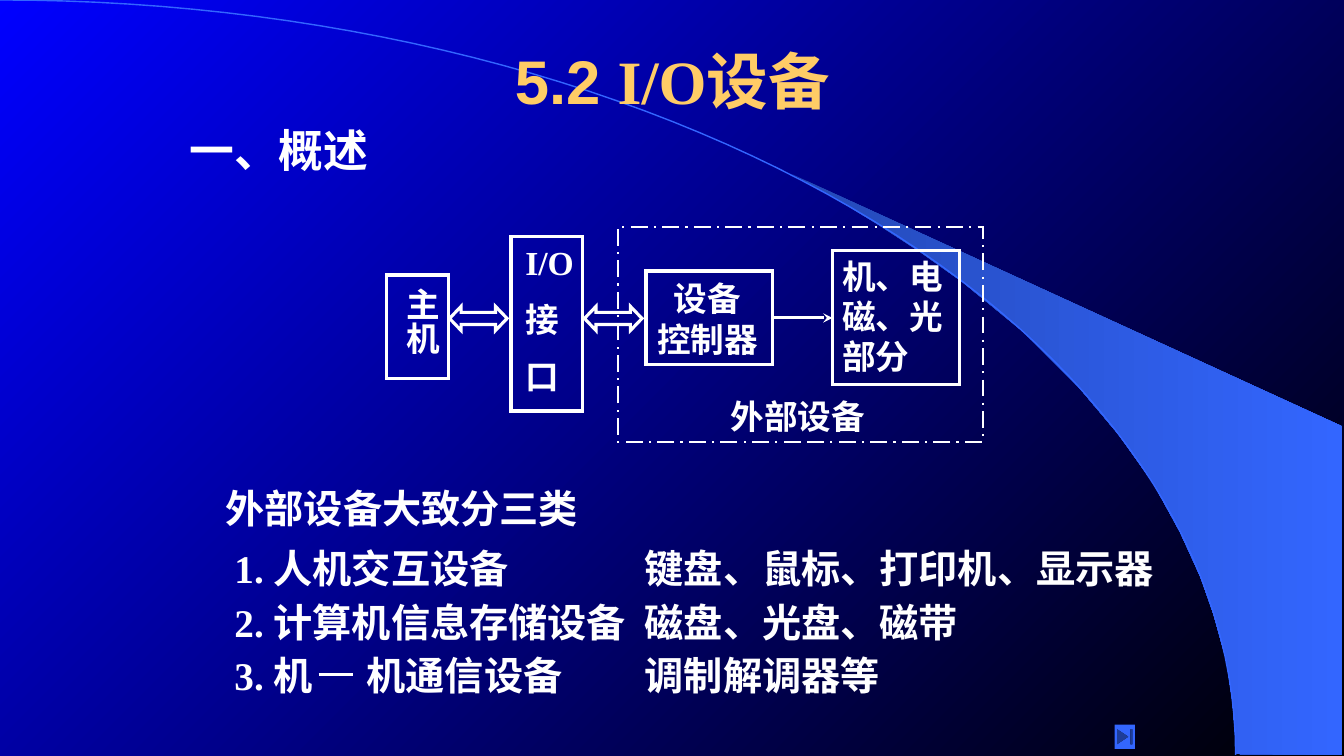
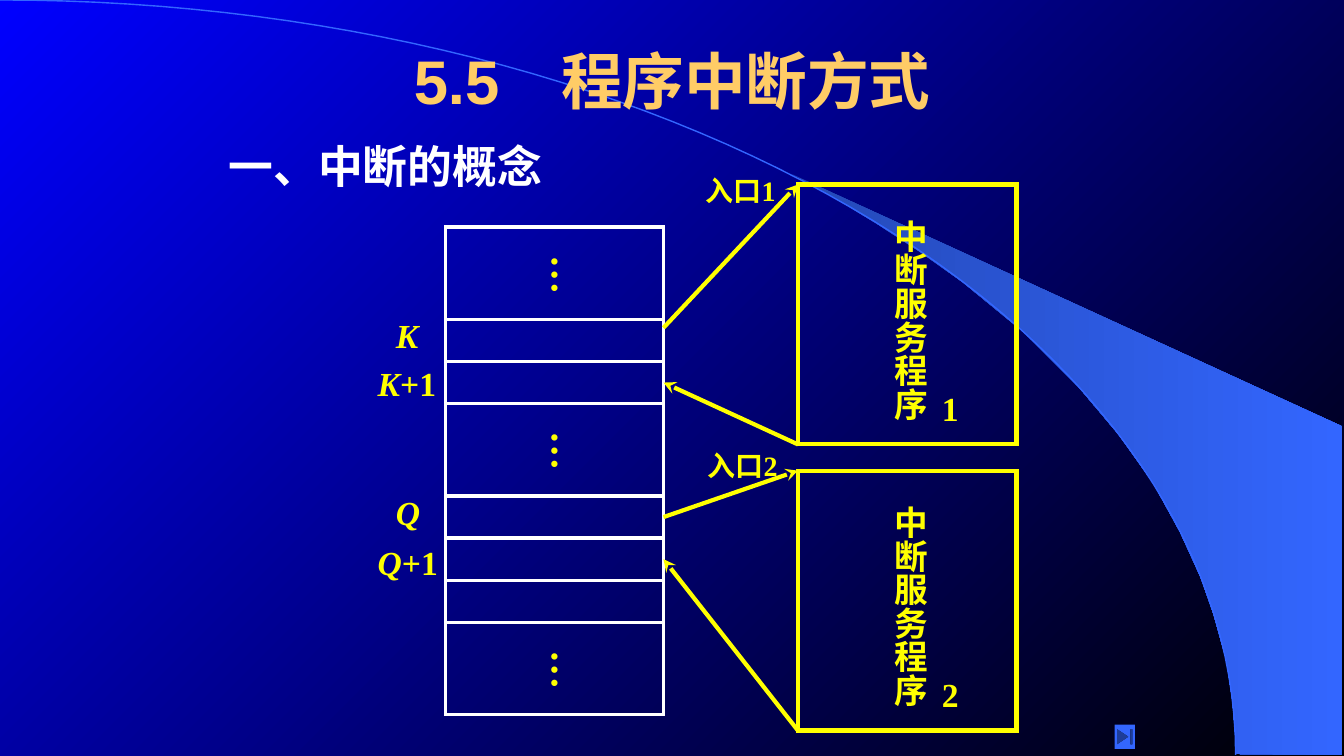
import math
from dataclasses import dataclass

import pptx
import pptx.dml.color
import pptx.enum.dml
import pptx.enum.lang
import pptx.enum.shapes
import pptx.enum.text
import pptx.oxml.ns
import pptx.util
from lxml import etree

Cm = pptx.util.Cm
Pt = pptx.util.Pt
Kind = pptx.enum.shapes.MSO_SHAPE
Align = pptx.enum.text.PP_ALIGN
qn = pptx.oxml.ns.qn


@dataclass(frozen=True)
class Theme:
    white: str = "FFFFFF"
    yellow: str = "FFFF00"
    gold: str = "FFCC66"
    blue: str = "3366FF"
    deep: str = "2449B6"
    sky: str = "0000FF"
    night: str = "000000"
    head: str = "Arial"
    body: str = "Times New Roman"
    title: float = 44
    topic: float = 32
    text: float = 28
    label: float = 24
    small: float = 20
    thin: float = 1
    dash: float = 1.5
    line: float = 2.25
    bold: float = 3


T = Theme()


def rgb(code):
    return pptx.dml.color.RGBColor.from_string(code)


def cms(*nums):
    return [Cm(num) for num in nums]


def fade(fill, first, last, angle):
    fill.gradient()
    fill.gradient_angle = angle
    for stop, code in zip(fill.gradient_stops, (first, last)):
        stop.color.rgb = rgb(code)


def style(run, size, color, face=T.body, slant=False):
    font = run.font
    font.size = Pt(size)
    font.name = face
    font.bold = True
    font.italic = slant
    font.color.rgb = rgb(color)
    font.language_id = pptx.enum.lang.MSO_LANGUAGE_ID.SIMPLIFIED_CHINESE


def write(frame, text, size, color, face=T.body, slant=False, align=Align.LEFT, gap=0):
    frame.text = text
    for order, para in enumerate(frame.paragraphs):
        para.alignment = align
        if order and gap:
            para.space_before = Pt(gap)
        for run in para.runs:
            style(run, size, color, face, slant)


def extend(frame, text, size, color, face=T.body):
    run = frame.paragraphs[0].add_run()
    run.text = text
    style(run, size, color, face)


def turn(frame):
    frame._txBody.bodyPr.set("vert", "eaVert")


def pad(frame, left, top, right, low):
    frame.margin_left, frame.margin_top, frame.margin_right, frame.margin_bottom = cms(
        left, top, right, low
    )


def label(slide, place, text, size=T.label, color=T.white, wrap=True, **look):
    frame = slide.shapes.add_textbox(*cms(*place)).text_frame
    frame.word_wrap = wrap
    frame.auto_size = pptx.enum.text.MSO_AUTO_SIZE.SHAPE_TO_FIT_TEXT
    write(frame, text, size, color, **look)
    return frame


def shape(slide, place, kind=Kind.RECTANGLE, color=T.white, width=T.line):
    item = slide.shapes.add_shape(kind, *cms(*place))
    item.shadow.inherit = False
    item.fill.background()
    item.line.color.rgb = rgb(color)
    item.line.width = Pt(width)
    stroke = item._element.spPr.find(qn("a:ln"))
    etree.SubElement(stroke, qn("a:miter"), lim="800000")
    return item


def block(slide, place, text, **look):
    item = shape(slide, place)
    frame = item.text_frame
    frame.vertical_anchor = pptx.enum.text.MSO_ANCHOR.TOP
    write(frame, text, T.label, T.white, **look)
    return item


def wire(slide, start, end, color=T.white, width=T.line, tip=True):
    straight = pptx.enum.shapes.MSO_CONNECTOR.STRAIGHT
    link = slide.shapes.add_connector(straight, *cms(*start, *end))
    link.line.color.rgb = rgb(color)
    link.line.width = Pt(width)
    props = link._element.spPr
    if tip:
        etree.SubElement(props.find(qn("a:ln")), qn("a:tailEnd"), type="stealth")
    etree.SubElement(props, qn("a:effectLst"))
    return link


def outline(slide, points, close):
    first, *rest = [cms(*point) for point in points]
    form = slide.shapes.build_freeform(*first)
    form.add_line_segments(rest, close=close)
    item = form.convert_to_shape()
    item.shadow.inherit = False
    return item


def backdrop(slide):
    beam = outline(slide, [
        (31.17, 19), (33.81, 19.02), (33.81, 10.74), (19.96, 4.39), (21.13, 5.05),
        (22.1, 5.64), (23.19, 6.35), (24.26, 7.11), (25.81, 8.38), (27.18, 9.75),
        (28.19, 10.95), (29.06, 12.17), (29.74, 13.41), (30.25, 14.53),
        (30.58, 15.47), (30.91, 16.66), (31.06, 17.68),
    ], True)
    fade(beam.fill, T.deep, T.blue, 0)
    beam.line.fill.background()
    steps = 60
    turns = [math.pi / 2 * step / steps for step in range(steps + 1)]
    arc = outline(
        slide, [(31.14 * math.sin(a), 19.02 * (1 - math.cos(a))) for a in turns], False
    )
    arc.fill.background()
    arc.line.color.rgb = rgb(T.blue)
    arc.line.width = Pt(T.thin)


def start(deck, title):
    slide = deck.slides.add_slide(deck.slide_layouts[6])
    backdrop(slide)
    frame = label(slide, (6.15, 0.43, 21.59, 3.18), title, T.title, T.gold,
                  face=T.head, align=Align.CENTER)
    frame.auto_size = pptx.enum.text.MSO_AUTO_SIZE.NONE
    frame.vertical_anchor = pptx.enum.text.MSO_ANCHOR.MIDDLE
    return slide, frame


def finish(slide):
    button = shape(slide, (28.09, 18.26, 0.51, 0.61), Kind.ACTION_BUTTON_END)
    button.fill.solid()
    button.fill.fore_color.rgb = rgb(T.blue)
    button.line.fill.background()


def diagram(slide):
    host = block(slide, (9.75, 6.93, 1.55, 2.6), "主机").text_frame
    turn(host)
    pad(host, 0.35, 0.33, 0.15, 0.13)
    driver = block(slide, (16.28, 6.83, 3.2, 2.36), "设备\n控制器", align=Align.CENTER)
    pad(driver.text_frame, 0.15, 0.18, 0.25, 0.13)
    parts = block(slide, (20.98, 6.32, 3.2, 3.38), "机、电\n磁、光\n部分")
    port = block(slide, (12.88, 5.97, 1.8, 4.39), "I/O\n接\n口", gap=12)
    pad(port.text_frame, 0.36, 0.13, 0.15, 0.13)
    group = shape(slide, (15.57, 5.72, 9.2, 5.41), width=T.dash)
    group.line.dash_style = pptx.enum.dml.MSO_LINE.LONG_DASH_DOT
    label(slide, (18.16, 9.86, 5.79, 1.27), "外部设备")
    link = wire(slide, (19.48, 8.01), (20.98, 8.01))
    link.begin_connect(driver, 3)
    link.end_connect(parts, 1)
    for left in (14.73, 11.33):
        arrow = shape(slide, (left, 7.72, 1.45, 0.61), Kind.LEFT_RIGHT_ARROW)
        arrow.adjustments[0] = 0.5
        arrow.adjustments[1] = 0.48


def classes(slide):
    label(slide, (5.44, 12.09, 12.27, 1.45), "外部设备大致分三类", T.text)
    rows = [
        ("1. 人机交互设备", "键盘、鼠标、打印机、显示器"),
        ("2. 计算机信息存储设备", "磁盘、光盘、磁带"),
        ("3. 机\t机通信设备", "调制解调器等"),
    ]
    for order, (name, items) in enumerate(rows):
        top = 13.59 + 1.35 * order
        frame = label(slide, (5.66, top, 11.63, 1.45), name, T.text)
        label(slide, (16, top, 13.97, 1.45), items, T.text)
    props = frame.paragraphs[0]._p.get_or_add_pPr()
    tabs = etree.SubElement(props, qn("a:tabLst"))
    etree.SubElement(tabs, qn("a:tab"), pos=str(int(Cm(3.33))), algn="l")
    wire(slide, (8.03, 16.99), (8.89, 16.99), tip=False)


def program(slide):
    tall, short = 2.33, 1.06
    cells = []
    top = 5.72
    for high in (tall, short, short, tall, short, short, short, tall):
        cells.append(shape(slide, (11.22, top, 5.5, high)))
        if high == tall:
            dots = label(slide, (13.32, top + 0.46, 1.7, 1.24), "…", T.text, T.yellow,
                         wrap=False)
            turn(dots)
        top += high
    for top, name in ((7.82, "K"), (12.27, "Q")):
        label(slide, (9.73, top, 1.1, 1.27), name, color=T.yellow, wrap=False, slant=True)
    for top, name in ((9.02, "K"), (13.54, "Q")):
        frame = label(slide, (9.27, top, 2.3, 1.27), name, color=T.yellow, wrap=False,
                      slant=True)
        extend(frame, "+1", T.label, T.yellow)
    return cells


def service(slide, top, mark):
    left = 20.11
    shape(slide, (left, top, 5.51, 6.55), color=T.yellow, width=T.bold)
    name = label(slide, (left + 1.9, top + 0.64, 1.55, 5.41), "中断服务程序",
                 color=T.yellow, wrap=False)
    turn(name)
    label(slide, (left + 3.38, top + 5, 0.94, 1.27), mark, color=T.yellow, wrap=False)


def jumps(slide, cells):
    near, far = 16.72, 20.11
    look = {"color": T.yellow, "width": T.bold}
    wire(slide, (near, 8.26), (far, 4.65), **look)
    wire(slide, (far, 11.2), (near, 9.64), **look).end_connect(cells[2], 3)
    wire(slide, (near, 13.03), (far, 11.86), **look).begin_connect(cells[4], 3)
    wire(slide, (far, 18.41), (near, 14.09), **look).end_connect(cells[5], 3)
    label(slide, (17.53, 4.24, 2.29, 1.09), "入口1", T.small, T.yellow)
    label(slide, (17.58, 11.18, 2.97, 1.09), "入口2", T.small, T.yellow)


def devices(deck):
    slide, title = start(deck, "5.2 ")
    extend(title, "I/O", T.title, T.gold)
    extend(title, "设备", T.title, T.gold, T.head)
    label(slide, (4.52, 2.97, 6.55, 1.6), "一、概述", T.topic)
    diagram(slide)
    classes(slide)
    finish(slide)


def breaks(deck):
    slide, _ = start(deck, "5.5　程序中断方式")
    label(slide, (5.51, 3.38, 10.24, 1.6), "一、中断的概念", T.topic)
    cells = program(slide)
    service(slide, 4.65, "1")
    service(slide, 11.86, "2")
    jumps(slide, cells)
    finish(slide)


def main():
    deck = pptx.Presentation()
    deck.slide_width, deck.slide_height = cms(33.87, 19.05)
    fade(deck.slide_master.background.fill, T.sky, T.night, 315)
    devices(deck)
    breaks(deck)
    deck.save("out.pptx")


if __name__ == "__main__":
    main()
